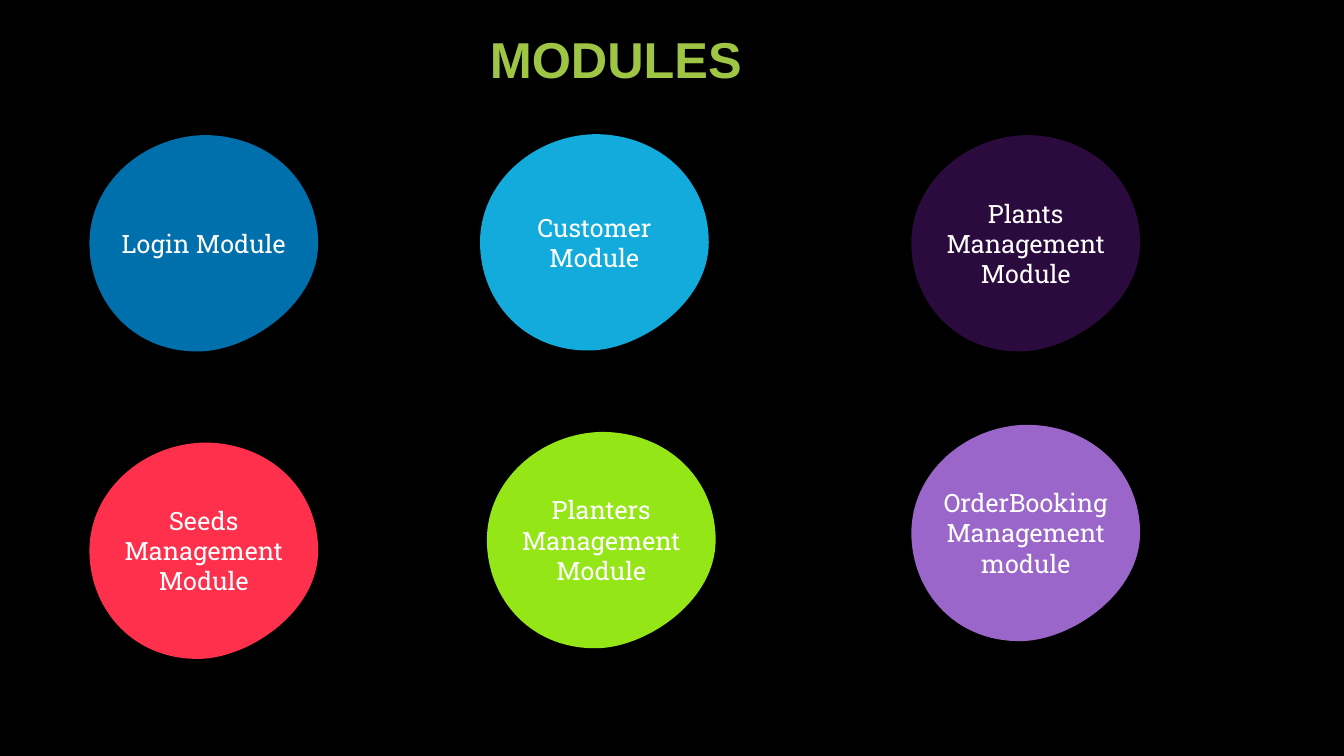
import dataclasses

import lxml.etree
import pptx
import pptx.dml.color
import pptx.enum.text
import pptx.oxml.ns
import pptx.util

Pt = pptx.util.Pt
RGB = pptx.dml.color.RGBColor.from_string
ALIGN = pptx.enum.text.PP_ALIGN
ANCHOR = pptx.enum.text.MSO_ANCHOR
qn = pptx.oxml.ns.qn


@dataclasses.dataclass(frozen=True)
class Theme:
    back: str = "000000"
    head: str = "9EC544"
    label: str = "FFFFFF"
    head_font: str = "Arial"
    label_font: str = "Roboto Slab"
    head_size: int = 36
    label_size: int = 18


THEME = Theme()
TITLE = "MODULES"
TITLE_BOX = (342.7, 16.6, 480, 51)

# label, fill, left, top
MODULES = [
    ("Login Module", "0070AD", 63.9, 96.5),
    ("Customer Module", "12ABDB", 342.9, 95.8),
    ("Plants Management Module", "2B0A3D", 651, 96.5),
    ("Seeds Management Module", "FF304C", 63.9, 316.1),
    ("Planters\nManagement Module", "95E616", 347.8, 308.5),
    ("OrderBooking Management module", "9A66CA", 651, 303.4),
]

# Bezier curves around a blob: two control points and an end point each
START = (0, 77.2)
CURVES = [
    ((0, 34.6), (38.2, 1), (81.8, 0)),
    ((130, 0), (163.4, 34.6), (163.4, 77.2)),
    ((163.4, 119.8), (116.6, 152), (81.8, 154.4)),
    ((32.6, 157), (0, 119.8), START),
]


def style(frame, align, font, size, color, bold=False):
    frame.word_wrap = True
    for para in frame.paragraphs:
        para.alignment = align
        for run in para.runs:
            run.font.name = font
            run.font.size = Pt(size)
            run.font.bold = bold
            run.font.color.rgb = RGB(color)


def add_title(slide):
    title = slide.shapes.title
    title.left, title.top, title.width, title.height = map(Pt, TITLE_BOX)
    frame = title.text_frame
    frame.text = TITLE
    frame.vertical_anchor = ANCHOR.TOP
    style(frame, ALIGN.LEFT, THEME.head_font, THEME.head_size,
          THEME.head, True)


def bend(blob):
    """Turn the straight sides of a blob into its curves."""
    sides = list(blob._element.iter(qn("a:lnTo")))
    for side, curve in zip(sides, CURVES):
        side.tag = qn("a:cubicBezTo")
        side.remove(side[0])
        for x, y in curve:
            lxml.etree.SubElement(side, qn("a:pt"),
                                  x=str(Pt(x)), y=str(Pt(y)))


def add_blob(slide, label, fill, left, top):
    ends = [START] + [curve[-1] for curve in CURVES]
    spots = [(Pt(left + x), Pt(top + y)) for x, y in ends]
    pen = slide.shapes.build_freeform(*spots[0])
    pen.add_line_segments(spots[1:], close=True)
    blob = pen.convert_to_shape()
    bend(blob)
    blob.shadow.inherit = False
    blob.fill.solid()
    blob.fill.fore_color.rgb = RGB(fill)
    blob.line.fill.background()
    frame = blob.text_frame
    frame.text = label
    frame.vertical_anchor = ANCHOR.MIDDLE
    style(frame, ALIGN.CENTER, THEME.label_font, THEME.label_size,
          THEME.label)


def main():
    deck = pptx.Presentation()
    deck.slide_width, deck.slide_height = Pt(960), Pt(540)
    slide = deck.slides.add_slide(deck.slide_layouts[5])
    slide.background.fill.solid()
    slide.background.fill.fore_color.rgb = RGB(THEME.back)
    add_title(slide)
    for module in MODULES:
        add_blob(slide, *module)
    deck.save("out.pptx")


if __name__ == "__main__":
    main()
